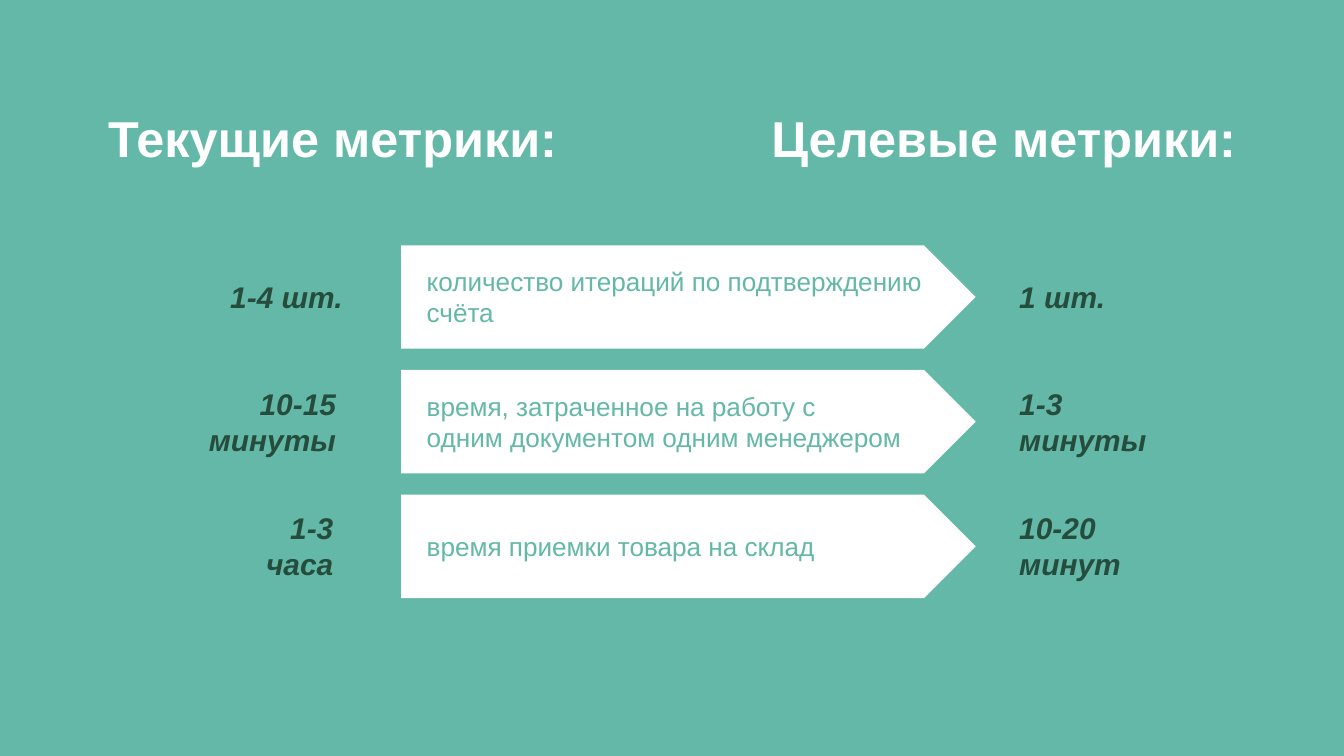
"""Build a slide comparing current and target metrics."""
from pptx import Presentation
from pptx.dml.color import RGBColor
from pptx.enum.shapes import MSO_SHAPE
from pptx.enum.text import MSO_ANCHOR, MSO_AUTO_SIZE, PP_ALIGN
from pptx.util import Pt

ARROW = MSO_SHAPE.PENTAGON
TOP = MSO_ANCHOR.TOP
FIXED = MSO_AUTO_SIZE.NONE
LEFT, RIGHT = PP_ALIGN.LEFT, PP_ALIGN.RIGHT
GREEN, WHITE, DARK = "63B8A7", "FFFFFF", "264C3D"


def paint(color, value):
    color.rgb = RGBColor.from_string(value)


def write(box, text, place, size, color, bold=False, italic=False, align=LEFT, wrap=True):
    box.left, box.top, box.width, box.height = [Pt(n) for n in place]
    frame = box.text_frame
    frame.text = text
    frame.word_wrap = wrap
    frame.auto_size = FIXED
    frame.vertical_anchor = TOP
    for para in frame.paragraphs:
        para.alignment = align
        for run in para.runs:
            font = run.font
            font.name, font.size = "Arial", Pt(size)
            font.bold, font.italic = bold, italic
            paint(font.color, color)


deck = Presentation()
deck.slide_width, deck.slide_height = Pt(1440), Pt(810)
slide = deck.slides.add_slide(deck.slide_layouts[5])
shapes = slide.shapes
back = slide.background.fill
back.solid()
paint(back.fore_color, GREEN)

write(shapes.title, "Текущие метрики:", (108.7, 110.9, 512, 72.7), 54, WHITE, bold=True)
target = shapes.add_textbox(0, 0, 0, 0)
write(target, "Целевые метрики:", (819.4, 110.9, 530, 72.7), 54, WHITE, bold=True)

rows = [
    ("1-4 шт.", 374.4, 137, "количество итераций по подтверждению счёта", 75, "1 шт.", 108),
    ("10-15\nминуты", 367.2, 152, "время, затраченное на работу с\nодним документом одним менеджером", 75,
     "1-3\nминуты", 152),
    ("1-3\nчаса", 364.3, 87, "время приемки товара на склад", 41, "10-20\nминут", 124.6),
]
for i, (now, edge, wide, label, tall, goal, span) in enumerate(rows):
    top = 262.8 + 133.6 * i
    mid = top + 55.4
    arrow = shapes.add_shape(ARROW, Pt(429.8), Pt(top), Pt(615.6), Pt(110.8))
    arrow.shadow.inherit = False
    arrow.fill.solid()
    paint(arrow.fill.fore_color, WHITE)
    arrow.line.fill.background()

    box = shapes.add_textbox(0, 0, 0, 0)
    write(box, label, (444.2, mid - tall / 2, 586, tall), 28, GREEN)
    box.text_frame.margin_left = Pt(13)

    high = 85 if "\n" in now else 46
    for text, left, width, align in ((now, edge - wide, wide, RIGHT), (goal, 1085, span, LEFT)):
        box = shapes.add_textbox(0, 0, 0, 0)
        write(box, text, (left, mid - high / 2, width, high), 32, DARK, True, True, align, False)

deck.save("out.pptx")
